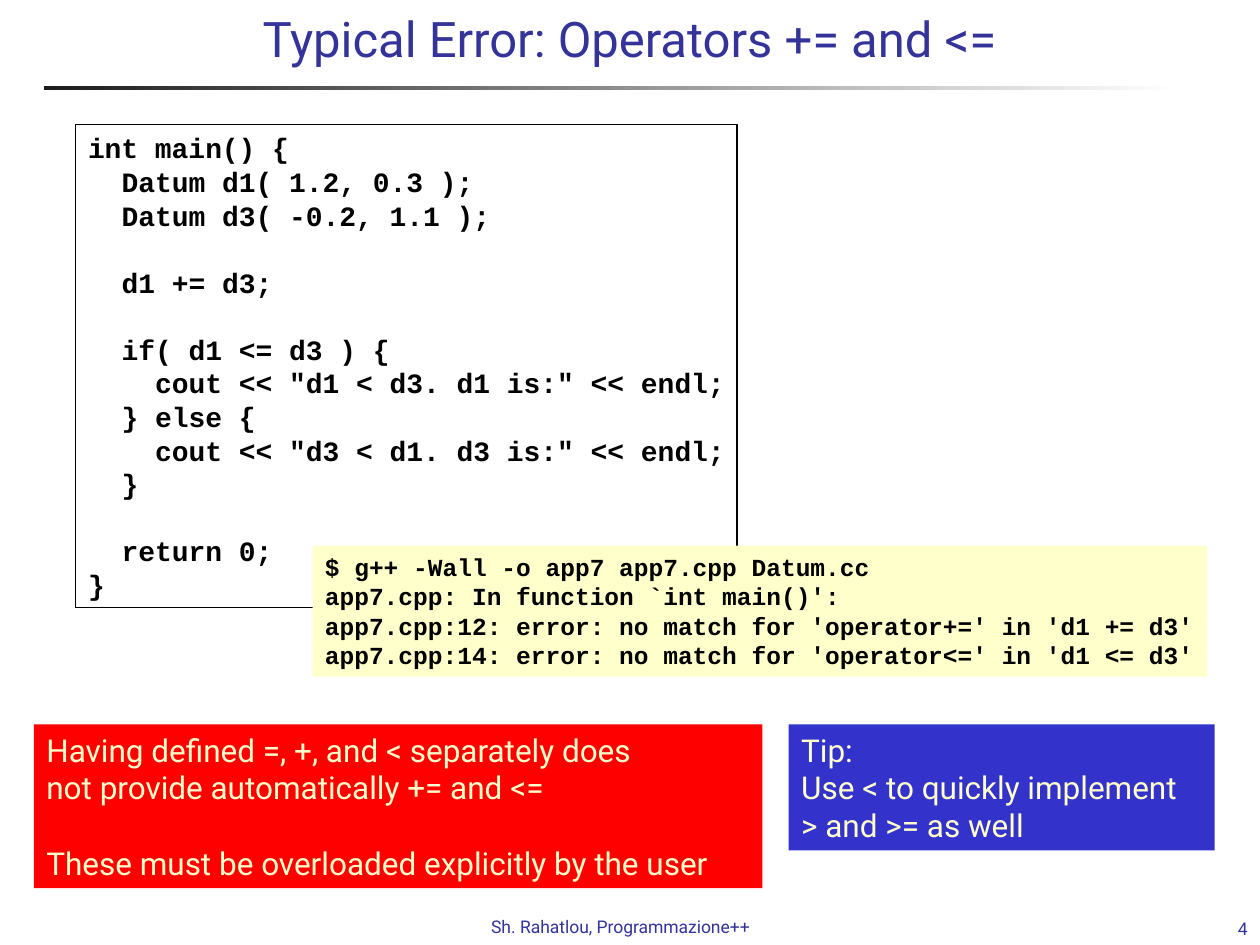
from pptx import Presentation
from pptx.dml.color import RGBColor
from pptx.enum.shapes import MSO_SHAPE
from pptx.enum.text import MSO_ANCHOR, MSO_AUTO_SIZE, PP_ALIGN
from pptx.util import Pt

RECT = MSO_SHAPE.RECTANGLE
TOP, BOTTOM = MSO_ANCHOR.TOP, MSO_ANCHOR.BOTTOM
NO_FIT = MSO_AUTO_SIZE.NONE
LEFT, CENTER, RIGHT = PP_ALIGN.LEFT, PP_ALIGN.CENTER, PP_ALIGN.RIGHT

COLORS = {"ink": "333399", "code": "000000", "cream": "FFFFCC", "red": "FF0000",
          "blue": "3333CC", "rule_start": "1C1C1C", "rule_end": "FFFFFF"}
STYLES = {
    "title": {"name": "Roboto", "size": Pt(28), "bold": False},
    "code": {"name": "Courier New", "size": Pt(16), "bold": True},
    "output": {"name": "Courier New", "size": Pt(14), "bold": True},
    "note": {"name": "Roboto", "size": Pt(18), "bold": False},
    "footer": {"name": "Roboto", "size": Pt(10), "bold": False},
}
LEADING = 1.2
CHAR_WIDTH = 0.6

TITLE = ["Typical Error: Operators += and <="]
FOOTER = ["Sh. Rahatlou, Programmazione++"]
NUMBER = ["4"]
CODE = [
    "int main() {",
    "  Datum d1( 1.2, 0.3 );",
    "  Datum d3( -0.2, 1.1 );",
    "",
    "  d1 += d3;",
    "",
    "  if( d1 <= d3 ) {",
    '    cout << "d1 < d3. d1 is:" << endl;',
    "  } else {",
    '    cout << "d3 < d1. d3 is:" << endl;',
    "  }",
    "",
    "  return 0;",
    "}",
]
OUTPUT = [
    "$ g++ -Wall -o app7 app7.cpp Datum.cc",
    "app7.cpp: In function `int main()':",
    "app7.cpp:12: error: no match for 'operator+=' in 'd1 += d3'",
    "app7.cpp:14: error: no match for 'operator<=' in 'd1 <= d3'",
]
WARNING = [
    "Having defined =, +, and < separately does\vnot provide automatically += and <=",
    "",
    "These must be overloaded explicitly by the user",
]
TIP = ["Tip:", "Use < to quickly implement\v> and >= as well"]

TITLE_BOX = (41.8, 1.4, 635.8, 48.2)
RULE_BOX = (25.2, 49, 648, 2.2)
PANELS = [
    (CODE, (43.2, 71.3, 378, 275.8), "code", "code", None, "code"),
    (OUTPUT, (178.6, 311.8, 511.2, 74.9), "output", "code", "cream", None),
    (WARNING, (19.4, 414, 416.2, 93.6), "note", "cream", "red", None),
    (TIP, (450.7, 414, 243.4, 72), "note", "cream", "blue", None),
]
LABELS = [
    (FOOTER, (273.6, 519.8, 170.6, 19.4), LEFT, TOP, 0),
    (NUMBER, (642.2, 522, 77.8, 18), RIGHT, BOTTOM, 7.2),
]


def rgb(name):
    return RGBColor.from_string(COLORS[name])


def assign(obj, values):
    for key, value in values.items():
        setattr(obj, key, value)


def write(sp, lines, style, color, align=LEFT, anchor=TOP, right=0):
    """Write lines, turning blank ones into spacing and leading spaces into indents."""
    tf = sp.text_frame
    assign(tf, {"word_wrap": True, "auto_size": NO_FIT, "vertical_anchor": anchor,
                "margin_left": Pt(7.2), "margin_right": Pt(right),
                "margin_top": Pt(3.6), "margin_bottom": Pt(3.6)})
    size = STYLES[style]["size"].pt
    gap, p = 0, None
    for line in lines:
        if not line:
            gap += size * LEADING
            continue
        p = tf.add_paragraph() if p else tf.paragraphs[0]
        p.text = line.lstrip()
        assign(p, {"alignment": align, "space_before": Pt(gap),
                   "line_spacing": Pt(size * LEADING)})
        indent = len(line) - len(line.lstrip())
        if indent:
            p._p.get_or_add_pPr().set("marL", str(Pt(indent * size * CHAR_WIDTH)))
        for r in p.runs:
            assign(r.font, STYLES[style])
            r.font.color.rgb = rgb(color)
        gap = 0


def add_rect(slide, box):
    sp = slide.shapes.add_shape(RECT, *map(Pt, box))
    sp.shadow.inherit = False
    sp.line.fill.background()
    return sp


def add_rule(slide):
    sp = add_rect(slide, RULE_BOX)
    sp.fill.gradient()
    sp.fill.gradient_angle = 0
    for stop, position, name in zip(sp.fill.gradient_stops, (0, 1),
                                    ("rule_start", "rule_end")):
        stop.position = position
        stop.color.rgb = rgb(name)


def add_panel(slide, lines, box, style, color, fill, line):
    sp = add_rect(slide, box)
    if fill:
        sp.fill.solid()
        sp.fill.fore_color.rgb = rgb(fill)
    else:
        sp.fill.background()
    if line:
        sp.line.color.rgb = rgb(line)
        sp.line.width = Pt(0.75)
    write(sp, lines, style, color)


def main():
    prs = Presentation()
    assign(prs, {"slide_width": Pt(720), "slide_height": Pt(540)})
    slide = prs.slides.add_slide(prs.slide_layouts[5])
    add_rule(slide)
    for lines, box, align, anchor, right in LABELS:
        sp = slide.shapes.add_textbox(*map(Pt, box))
        write(sp, lines, "footer", "ink", align, anchor, right)
    title = slide.shapes.title
    assign(title, dict(zip(("left", "top", "width", "height"), map(Pt, TITLE_BOX))))
    write(title, TITLE, "title", "ink", CENTER, TOP, 7.2)
    for panel in PANELS:
        add_panel(slide, *panel)
    prs.save("out.pptx")


if __name__ == "__main__":
    main()
